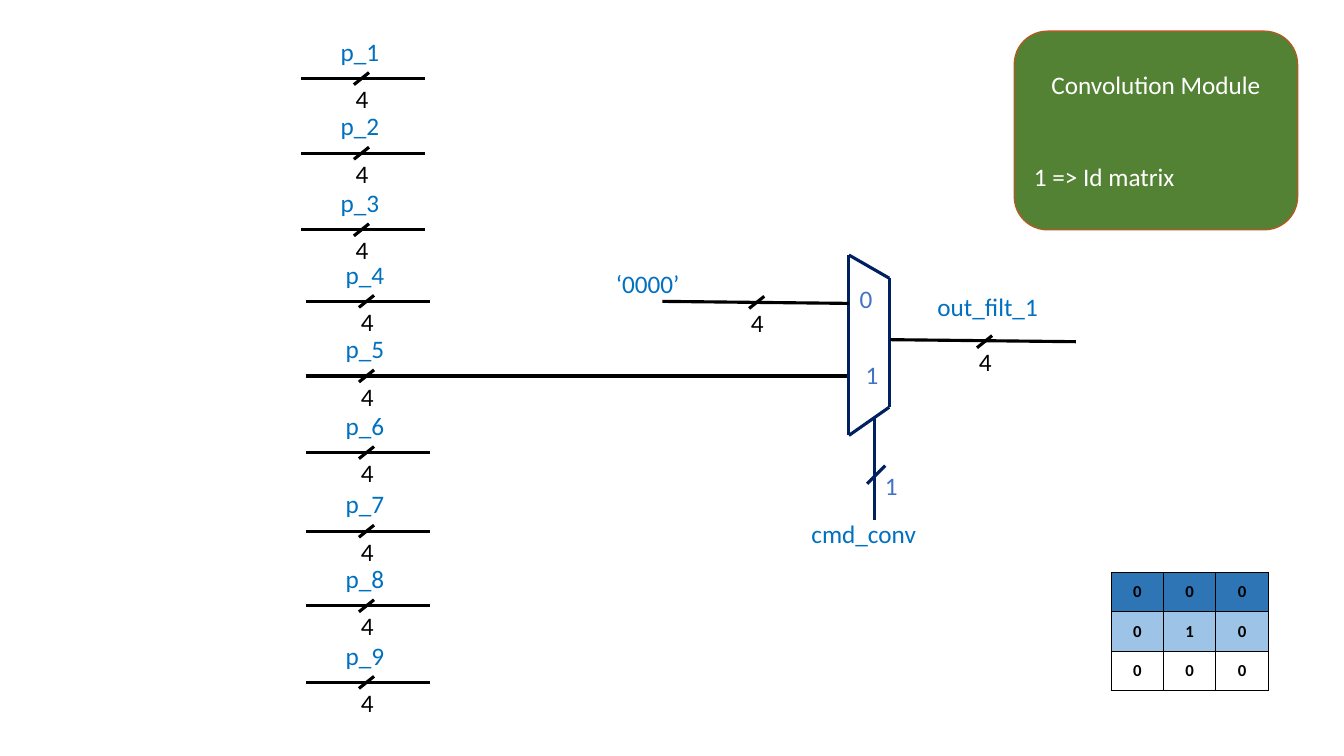
from lxml.etree import SubElement
from pptx import Presentation
from pptx.dml.color import RGBColor
from pptx.enum.shapes import MSO_CONNECTOR, MSO_SHAPE
from pptx.enum.text import MSO_ANCHOR, MSO_AUTO_SIZE, PP_ALIGN
from pptx.oxml.ns import qn
from pptx.util import Inches, Pt

BLACK, WHITE, NAVY = "000000", "FFFFFF", "002060"
SIGNAL, DIGIT = "0070C0", "4472C4"
GREEN, RUST = "548235", "AF5C24"
MATRIX_FILLS = ["2E75B6", "9DC3E6", None]


def color(value):
    """Turn a hex string into a colour."""
    return RGBColor.from_string(value)


class Diagram:
    """Holds the text style and the slide being drawn."""

    font_name = "Calibri"
    font_size = 18
    line_width = 2.25

    def __init__(self, slide):
        """Draw on the given slide."""
        self.slide = slide

    def add_text(self, paragraph, text, fill, size=None, bold=False):
        """Add one styled run to a paragraph."""
        run = paragraph.add_run()
        run.text = text
        run.font.name = self.font_name
        run.font.size = Pt(size or self.font_size)
        run.font.bold = bold
        run.font.color.rgb = color(fill)

    def label(self, text, left, top, width, fill=SIGNAL, align=PP_ALIGN.LEFT, wrap=True):
        """Add a one-line text box."""
        box = self.slide.shapes.add_textbox(Inches(left), Inches(top), Inches(width), Inches(0.4))
        frame = box.text_frame
        frame.word_wrap = wrap
        frame.auto_size = MSO_AUTO_SIZE.SHAPE_TO_FIT_TEXT
        frame.paragraphs[0].alignment = align
        self.add_text(frame.paragraphs[0], text, fill)

    def line(self, start, end, stroke=BLACK):
        """Draw a straight line between two points."""
        connector = self.slide.shapes.add_connector(
            MSO_CONNECTOR.STRAIGHT, *(Inches(value) for value in (*start, *end)))
        connector.line.color.rgb = color(stroke)
        connector.line.width = Pt(self.line_width)
        SubElement(connector._element.spPr, qn("a:effectLst"))

    def bus(self, start, end, slash_x, slash_y):
        """Draw a four-bit wire with its slash and bit count."""
        self.line(start, end)
        self.line((slash_x - 0.07, slash_y + 0.06), (slash_x + 0.08, slash_y - 0.06))
        self.label("4", slash_x - 0.15, slash_y, 0.33, BLACK, wrap=False)

    def card(self, heading, detail, left, top, width, height):
        """Draw the rounded card with a centred heading and a detail line."""
        shape = self.slide.shapes.add_shape(
            MSO_SHAPE.ROUNDED_RECTANGLE, Inches(left), Inches(top), Inches(width), Inches(height))
        shape.shadow.inherit = False
        shape.fill.solid()
        shape.fill.fore_color.rgb = color(GREEN)
        shape.line.color.rgb = color(RUST)
        shape.line.width = Pt(1)
        frame = shape.text_frame
        frame.word_wrap = True
        frame.vertical_anchor = MSO_ANCHOR.MIDDLE
        paragraph = frame.paragraphs[0]
        paragraph.alignment = PP_ALIGN.CENTER
        self.add_text(paragraph, heading, WHITE)
        paragraph = frame.add_paragraph()
        paragraph.alignment = PP_ALIGN.LEFT
        paragraph.space_before = Pt(44)
        self.add_text(paragraph, detail, WHITE)

    def matrix(self, values, fills, left, top, cell_width, cell_height):
        """Draw a bordered table with one fill per row."""
        rows, columns = len(values), len(values[0])
        table = self.slide.shapes.add_table(
            rows, columns, Inches(left), Inches(top),
            Inches(cell_width * columns), Inches(cell_height * rows)).table
        table.first_row = table.horz_banding = False
        for row_index, (row, fill) in enumerate(zip(values, fills)):
            for column_index, value in enumerate(row):
                self.matrix_cell(table.cell(row_index, column_index), value, fill)

    def matrix_cell(self, cell, value, fill):
        """Fill, border and label one matrix cell."""
        cell.vertical_anchor = MSO_ANCHOR.MIDDLE
        cell.margin_left = cell.margin_right = Inches(0.07)
        cell.margin_top = cell.margin_bottom = Inches(0.03)
        paragraph = cell.text_frame.paragraphs[0]
        paragraph.alignment = PP_ALIGN.CENTER
        self.add_text(paragraph, str(value), BLACK, size=12, bold=True)
        properties = cell._tc.get_or_add_tcPr()
        for side in ("lnL", "lnR", "lnT", "lnB"):
            border = SubElement(properties, qn(f"a:{side}"), w=str(Pt(1)))
            solid = SubElement(border, qn("a:solidFill"))
            SubElement(solid, qn("a:srgbClr"), val=BLACK)
        if fill:
            cell.fill.solid()
            cell.fill.fore_color.rgb = color(fill)
        else:
            cell.fill.background()


presentation = Presentation()
presentation.slide_width = Inches(13.33)
presentation.slide_height = Inches(7.5)
diagram = Diagram(presentation.slides.add_slide(presentation.slide_layouts[6]))

# Pixel inputs: the fifth one runs on to the multiplexer
input_heights = [0.78, 1.52, 2.28, 2.99, 3.73, 4.49, 5.27, 6.01, 6.77]
for number, y in enumerate(input_heights, start=1):
    left = 2.99 if number <= 3 else 3.04
    right = 8.4 if number == 5 else left + 1.23
    diagram.label(f"p_{number}", left + 0.29, y - 0.47, 0.66)
    diagram.bus((left, y), (right, y), left + 0.59, y)

diagram.card("Convolution Module", "1 => Id matrix", 10.06, 0.31, 2.81, 1.97)
identity_kernel = [[0, 0, 0], [0, 1, 0], [0, 0, 0]]
diagram.matrix(identity_kernel, MATRIX_FILLS, 11.02, 5.68, 0.52, 0.39)

# Multiplexer outline and its input numbers
corners = [(8.42, 2.53), (8.82, 2.76), (8.82, 4.04), (8.42, 4.32)]
for start, end in zip(corners, corners[1:] + corners[:1]):
    diagram.line(start, end, NAVY)
diagram.label("0", 8.41, 2.76, 0.36, DIGIT, PP_ALIGN.CENTER)
diagram.label("1", 8.45, 3.52, 0.4, DIGIT, PP_ALIGN.CENTER)

# One-bit command
diagram.line((8.67, 5.16), (8.67, 4.15), NAVY)
diagram.line((8.6, 4.8), (8.78, 4.62), NAVY)
diagram.label("1", 8.6, 4.62, 0.48, DIGIT, PP_ALIGN.CENTER)
diagram.label("cmd_conv", 7.95, 5.09, 1.47)

# Constant input and filter output
diagram.label("‘0000’", 6.01, 2.61, 0.92)
diagram.bus((6.57, 2.99), (8.42, 3.01), 7.5, 3)
diagram.label("out_filt_1", 9.2, 2.84, 1.47)
diagram.bus((8.83, 3.37), (10.67, 3.39), 9.76, 3.39)

presentation.save("out.pptx")
